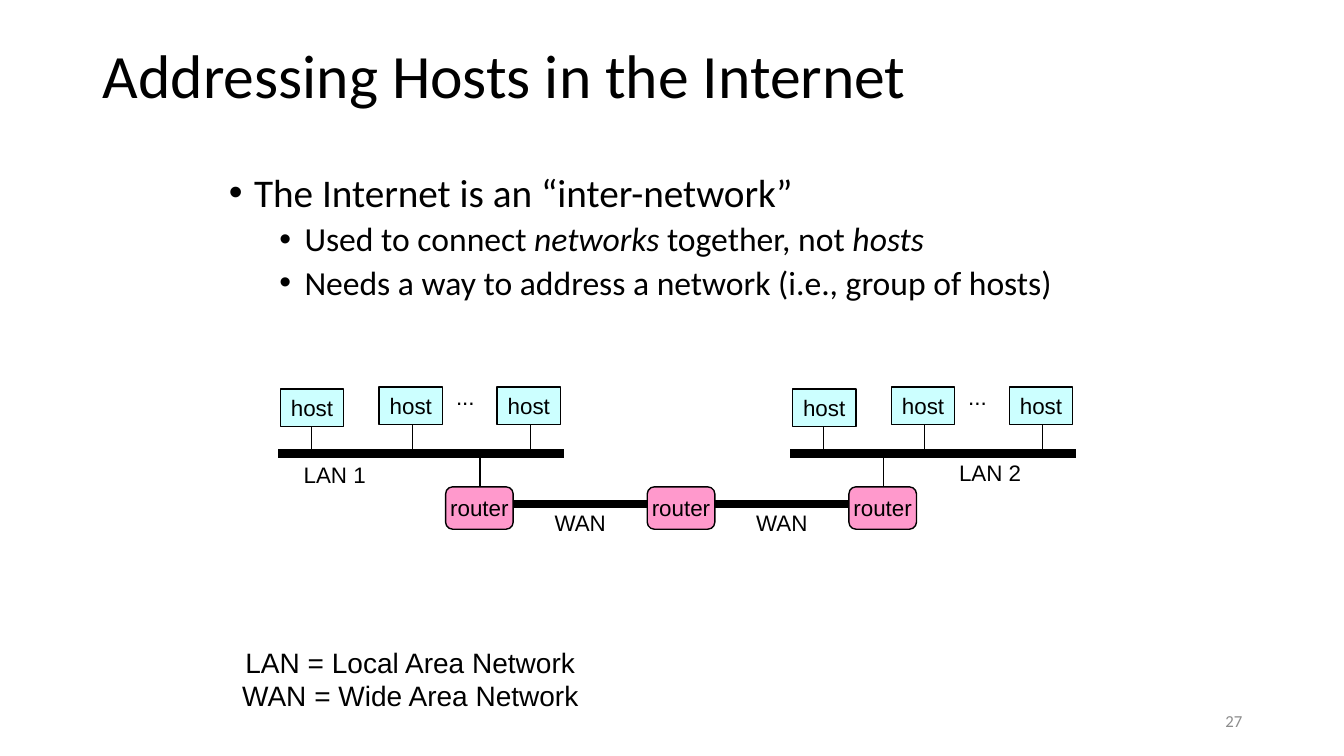
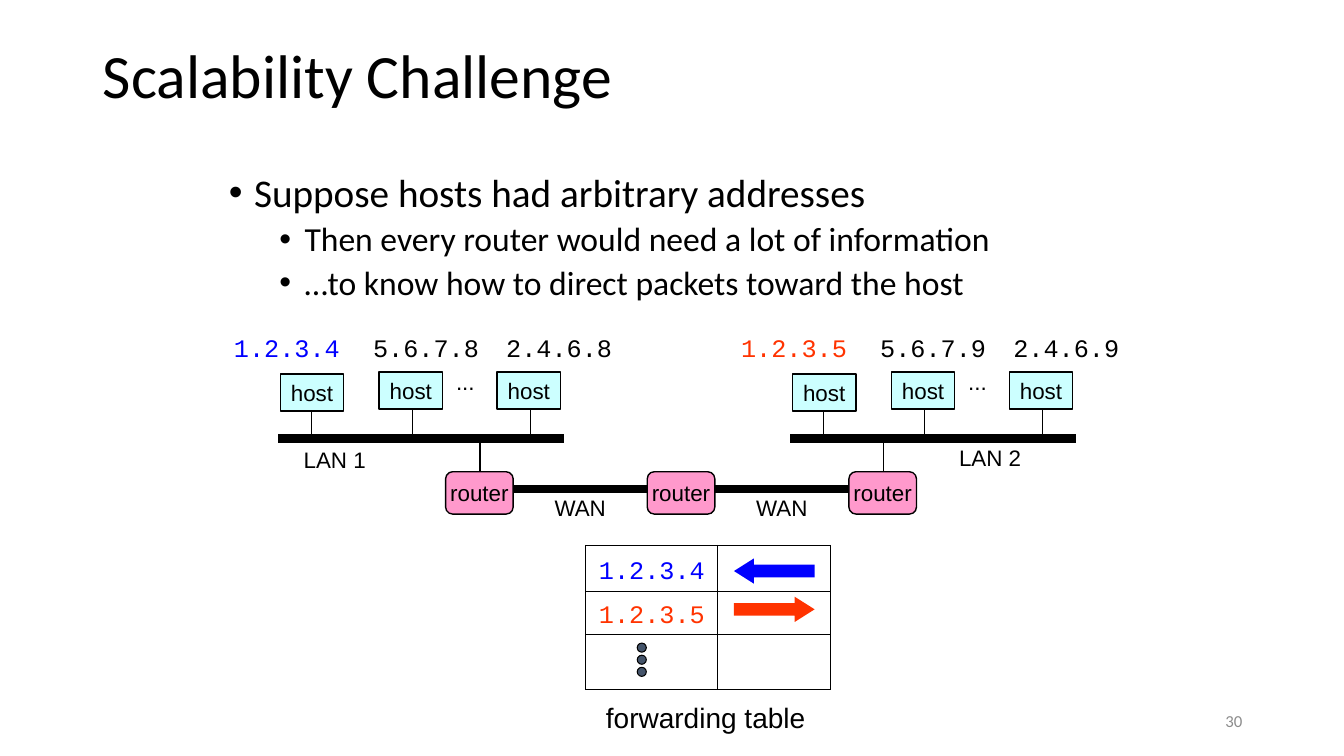
from dataclasses import dataclass

from lxml.etree import SubElement
from pptx import Presentation
from pptx.dml.color import RGBColor
from pptx.enum.shapes import MSO_CONNECTOR as Connector, MSO_SHAPE as Preset
from pptx.enum.text import MSO_ANCHOR as Anchor, MSO_AUTO_SIZE as AutoSize, PP_ALIGN as Align
from pptx.oxml import parse_xml
from pptx.oxml.ns import nsdecls, qn
from pptx.util import Inches, Pt

COLORS = {
    "black": "000000", "grey": "8C8C8C", "slate": "44546A", "host": "CCFFFF",
    "router": "FF99CC", "blue": "0000FF", "red": "FF3300",
}
HEADING_FONT, LABEL_FONT, ADDRESS_FONT = "Calibri", "Arial", "Courier New"


@dataclass
class Style:
    size: float
    font: str = LABEL_FONT
    color: str = "black"
    italic: bool = False


@dataclass
class Bullet:
    level: int
    pieces: list[str]  # every second piece is italic


@dataclass
class Lan:
    name: str
    left: float
    label_left: float
    label_drop: float
    address_left: float


@dataclass
class Address:
    text: str
    color: str = "black"


LANS = [Lan("LAN 1", 2.76, 2.9, 0.02, 2.22), Lan("LAN 2", 7.84, 9.4, 0, 7.25)]
LAN_WIDTH = 2.83
STEM = 0.33
HOSTS = [(0.02, 0.33, 0.64), (1, 1.33, 0.66), (2.17, 2.5, 0.66)]  # box, stem, rise
ADDRESS_STEPS = [0, 1.38, 2.7]
ROUTER_LEFT, ROUTER_STEP, ROUTER_WIDTH = 4.42, 2, 0.67
LABEL = Style(16)
LEGEND = Style(20)


# Text
def add_run(paragraph, text: str, style: Style) -> None:
    run = paragraph.add_run()
    run.text = text
    run.font.size = Pt(style.size)
    run.font.name = style.font
    run.font.italic = style.italic
    run.font.color.rgb = RGBColor.from_string(COLORS[style.color])


def write_lines(frame, lines: list[str], style: Style, align=Align.CENTER,
                anchor=Anchor.MIDDLE, wrap: bool = False) -> None:
    frame.word_wrap = wrap
    frame.vertical_anchor = anchor
    for index, line in enumerate(lines):
        paragraph = frame.add_paragraph() if index else frame.paragraphs[0]
        paragraph.alignment = align
        add_run(paragraph, line, style)


def add_label(slide, left: float, top: float, width: float, height: float,
              lines: list[str], style: Style, anchor=Anchor.MIDDLE) -> None:
    box = slide.shapes.add_textbox(*map(Inches, (left, top, width, height)))
    box.text_frame.auto_size = AutoSize.SHAPE_TO_FIT_TEXT
    write_lines(box.text_frame, lines, style, anchor=anchor)


def add_address(slide, left: float, top: float, address: Address) -> None:
    add_label(slide, left, top, 1.25, 0.4, [address.text],
              Style(18, ADDRESS_FONT, address.color), Anchor.TOP)


# Shapes and lines
def add_figure(slide, preset, left: float, top: float, width: float, height: float,
               fill: str, line: float = 0):
    figure = slide.shapes.add_shape(preset, *map(Inches, (left, top, width, height)))
    figure.shadow.inherit = False
    figure.fill.solid()
    figure.fill.fore_color.rgb = RGBColor.from_string(COLORS[fill])
    if line:
        figure.line.color.rgb = RGBColor.from_string(COLORS["black"])
        figure.line.width = Pt(line)
    else:
        figure.line.fill.background()
    return figure


def add_line(slide, x1: float, y1: float, x2: float, y2: float, width: float = 1) -> None:
    line = slide.shapes.add_connector(Connector.STRAIGHT, *map(Inches, (x1, y1, x2, y2)))
    line.line.color.rgb = RGBColor.from_string(COLORS["black"])
    line.line.width = Pt(width)
    SubElement(line._element.spPr, qn("a:effectLst"))


# Frame shared by the slides
def place(placeholder, left: float, top: float, width: float, height: float):
    placeholder.left, placeholder.top = Inches(left), Inches(top)
    placeholder.width, placeholder.height = Inches(width), Inches(height)
    frame = placeholder.text_frame
    frame.auto_size = AutoSize.NONE
    frame.word_wrap = True
    frame.vertical_anchor = Anchor.TOP
    return frame


def add_bullet(paragraph, bullet: Bullet, first: bool) -> None:
    paragraph.level = bullet.level
    properties = paragraph._p.get_or_add_pPr()
    properties.set("marL", str(Inches(0.25 + 0.5 * bullet.level)))
    properties.set("indent", str(Inches(-0.25)))
    SubElement(properties, qn("a:buFont")).set("typeface", "Arial")
    SubElement(properties, qn("a:buChar")).set("char", "•")
    paragraph.line_spacing = 0.9
    paragraph.space_before = Pt(0 if first else 5)
    for index, piece in enumerate(bullet.pieces):
        style = Style(24 if bullet.level else 28, HEADING_FONT, italic=index % 2 == 1)
        add_run(paragraph, piece, style)


def add_slide(deck, title: str, bullets: list[Bullet], body_height: float, number: str):
    slide = deck.slides.add_slide(deck.slide_layouts[1])
    heading = place(slide.shapes.title, 0.92, 0.4, 11.5, 1.45)
    write_lines(heading, [title], Style(44, HEADING_FONT), Align.LEFT, Anchor.TOP, True)
    heading.paragraphs[0].line_spacing = 0.9

    body = place(slide.placeholders[1], 2.17, 1.67, 9, body_height)
    for index, bullet in enumerate(bullets):
        paragraph = body.add_paragraph() if index else body.paragraphs[0]
        add_bullet(paragraph, bullet, index == 0)

    page = slide.shapes.add_textbox(*map(Inches, (9.42, 6.95, 3, 0.4)))
    write_lines(page.text_frame, [number], Style(12, HEADING_FONT, "grey"),
                Align.RIGHT, wrap=True)
    return slide


# Network diagram, hung from the height of the LAN bars
def add_lan(slide, lan: Lan, bar: float) -> None:
    add_line(slide, lan.left, bar, lan.left + LAN_WIDTH, bar, 6)
    for box, stem, rise in HOSTS:
        add_line(slide, lan.left + stem, bar - STEM, lan.left + stem, bar)
        host = add_figure(slide, Preset.RECTANGLE, lan.left + box, bar - rise,
                          0.63, 0.37, "host", 1)
        write_lines(host.text_frame, ["host"], LABEL)
    add_label(slide, lan.label_left, bar + lan.label_drop, 0.84, 0.37, [lan.name], LABEL)
    add_label(slide, lan.left + 1.66, bar - 0.75, 0.39, 0.37, ["..."], LABEL)


def add_network(slide, bar: float) -> None:
    for lan in LANS:
        add_lan(slide, lan, bar)
    wan = bar + 0.5
    for index in range(3):
        left = ROUTER_LEFT + index * ROUTER_STEP
        right = left + ROUTER_WIDTH
        router = add_figure(slide, Preset.ROUNDED_RECTANGLE, left, bar + STEM,
                            ROUTER_WIDTH, 0.42, "router", 1)
        write_lines(router.text_frame, ["router"], LABEL)
        if index != 1:
            add_line(slide, left + 0.34, bar, left + 0.34, bar + STEM)
        if index < 2:
            add_line(slide, right, wan, left + ROUTER_STEP, wan, 6)
            add_label(slide, right + 0.3, wan, 0.73, 0.37, ["WAN"], LABEL)


# Forwarding table
def border_cell(cell) -> None:
    cell.fill.background()
    for index, side in enumerate(("lnL", "lnR", "lnT", "lnB")):
        cell._tc.get_or_add_tcPr().insert(index, parse_xml(
            f'<a:{side} {nsdecls("a")} w="{Pt(0.75)}"><a:solidFill>'
            f'<a:srgbClr val="{COLORS["black"]}"/></a:solidFill></a:{side}>'))


def add_forwarding_table(slide, routes: list[Address]) -> None:
    widths, heights = [1.31, 1.12], [0.46, 0.42, 0.55]
    table = slide.shapes.add_table(
        len(heights), len(widths),
        *map(Inches, (5.81, 5.41, sum(widths), sum(heights)))).table
    table.first_row = table.horz_banding = False
    for column, width in zip(table.columns, widths):
        column.width = Inches(width)
    for row, height in zip(table.rows, heights):
        row.height = Inches(height)
    for cell in table.iter_cells():
        cell.margin_left = cell.margin_right = cell.margin_bottom = 0
        cell.margin_top = Inches(0.08)
        cell.vertical_anchor = Anchor.MIDDLE
        border_cell(cell)

    arrows = [Preset.LEFT_ARROW, Preset.RIGHT_ARROW]
    for index, (route, preset) in enumerate(zip(routes, arrows)):
        paragraph = table.cell(index, 0).text_frame.paragraphs[0]
        paragraph.alignment = Align.CENTER
        add_run(paragraph, route.text, Style(18, ADDRESS_FONT, route.color))
        arrow = add_figure(slide, preset, 7.28, 5.54 + 0.38 * index, 0.8, 0.25, route.color)
        arrow.adjustments[1] = 0.79
    for index in range(3):
        add_figure(slide, Preset.OVAL, 6.32, 6.38 + 0.12 * index, 0.09, 0.09, "slate", 0.75)
    add_label(slide, 5.9, 6.9, 2.2, 0.44, ["forwarding table"], LEGEND, Anchor.TOP)


def main() -> None:
    deck = Presentation()
    deck.slide_width, deck.slide_height = Inches(13.33), Inches(7.5)

    # Addressing hosts
    addressing = add_slide(deck, "Addressing Hosts in the Internet", [
        Bullet(0, ["The Internet is an “inter-network”"]),
        Bullet(1, ["Used to connect ", "networks", " together, not ", "hosts"]),
        Bullet(1, ["Needs a way to address a network (i.e., group of hosts)"]),
    ], 4.82, "27")
    add_network(addressing, 4.5)
    add_label(addressing, 2.29, 6.35, 3.56, 0.77,
              ["LAN = Local Area Network", "WAN = Wide Area Network"], LEGEND, Anchor.TOP)

    # Scalability
    scalability = add_slide(deck, "Scalability Challenge", [
        Bullet(0, ["Suppose hosts had arbitrary addresses"]),
        Bullet(1, ["Then every router would need a lot of information"]),
        Bullet(1, ["…to know how to direct packets toward the host"]),
    ], 1.5, "30")
    add_network(scalability, 4.35)
    routes = [Address("1.2.3.4", "blue"), Address("1.2.3.5", "red")]
    addresses = [
        [routes[0], Address("5.6.7.8"), Address("2.4.6.8")],
        [routes[1], Address("5.6.7.9"), Address("2.4.6.9")],
    ]
    for lan, lan_addresses in zip(LANS, addresses):
        for step, address in zip(ADDRESS_STEPS, lan_addresses):
            add_address(scalability, lan.address_left + step, 3.25, address)
    add_forwarding_table(scalability, routes)

    deck.save("out.pptx")


if __name__ == "__main__":
    main()
